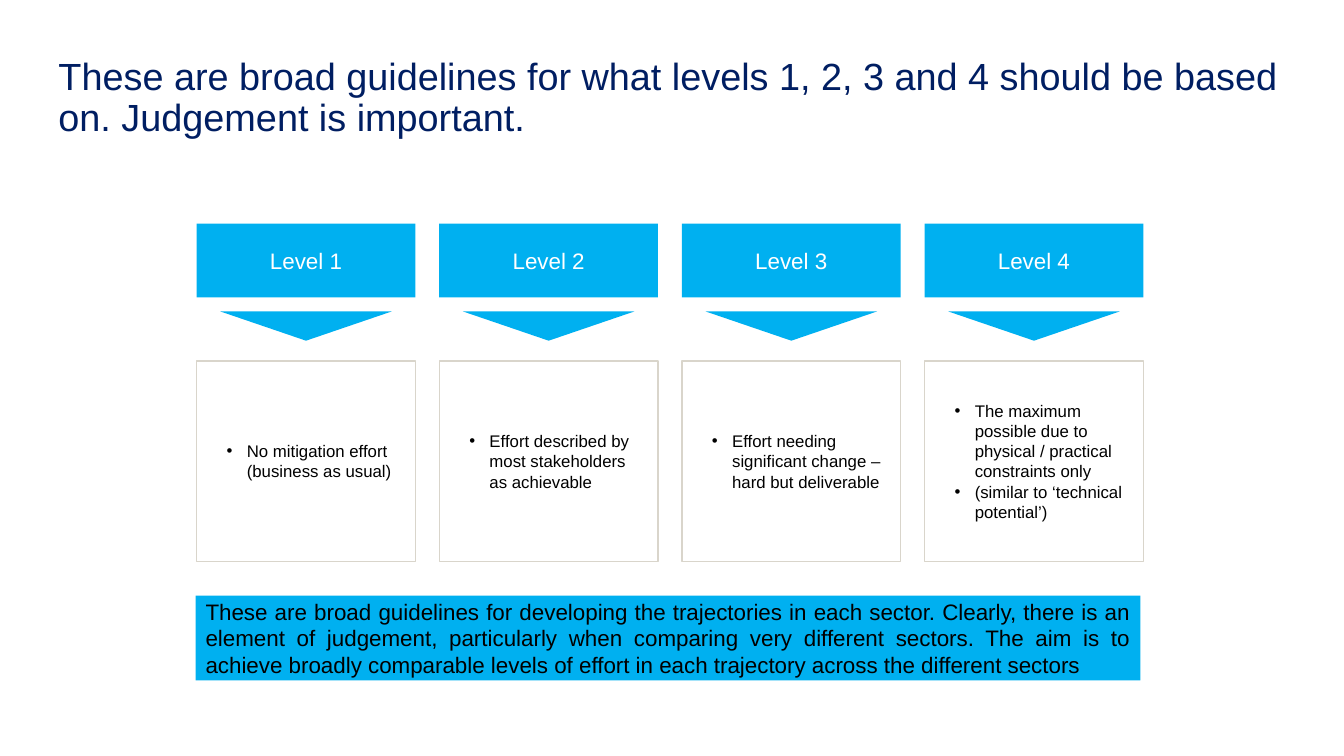
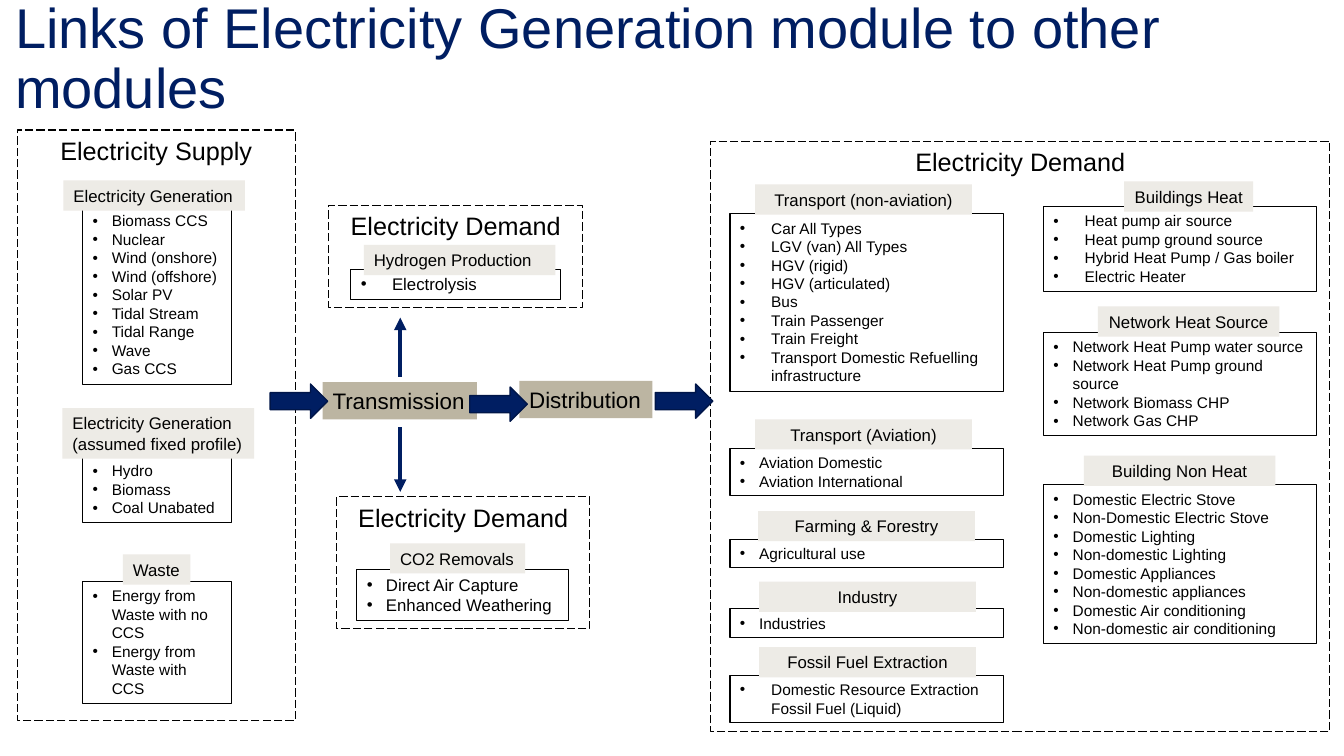
import lxml.etree
import pptx
import pptx.dml.color
import pptx.enum.dml
import pptx.enum.shapes
import pptx.enum.text
import pptx.oxml.ns
import pptx.util

Inches = pptx.util.Inches
Pt = pptx.util.Pt
ALIGN = pptx.enum.text.PP_ALIGN
ANCHOR = pptx.enum.text.MSO_ANCHOR
SHAPE = pptx.enum.shapes.MSO_SHAPE
DASH = pptx.enum.dml.MSO_LINE.LONG_DASH

THEME = {
    "font": "Arial",
    "navy": "001E62", "navy edge": "001649", "sky": "00B0F0",
    "stone": "BCB5A2", "pale stone": "EDEBE6", "border": "D9D5CB",
    "black": "000000", "white": "FFFFFF",
    "panel size": 18, "banner size": 16, "label size": 12, "item size": 11,
}
SLIDE_SIZE = (13.33, 7.5)
PADDING = 0.05
LINE_PITCH = 1.21
LABEL_HEIGHT = 0.3
NARROW, WIDE = 0.19, 0.31

LEVELS_TITLE = ("These are broad guidelines for what levels 1, 2, 3 and 4 should be based on. "
                "Judgement is important.")
LEVELS = [
    ("Level 1", ["No mitigation effort (business as usual)"]),
    ("Level 2", ["Effort described by most stakeholders as achievable"]),
    ("Level 3", ["Effort needing significant change – hard but deliverable"]),
    ("Level 4", ["The maximum possible due to physical / practical constraints only",
                 "(similar to ‘technical potential’)"]),
]
LEVELS_NOTE = ("These are broad guidelines for developing the trajectories in each sector. Clearly, "
               "there is an element of judgement, particularly when comparing very different sectors. "
               "The aim is to achieve broadly comparable levels of effort in each trajectory across "
               "the different sectors")
LEVEL_GRID = {"left": 1.95, "right": 11.34, "width": 2.17}

LINKS_TITLE = "Links of Electricity Generation module to other modules"
PANELS = [
    ("Electricity Demand", (3.26, 2.04, 2.52, 1.01)),
    ("Electricity Demand", (3.34, 4.93, 2.51, 1.31)),
    ("Electricity Supply", (0.17, 1.29, 2.76, 5.86)),
    ("Electricity Demand", (7.05, 1.4, 6.14, 5.86)),
]
STAGES = [("Transmission", (3.2, 3.79, 1.53, 0.37)), ("Distribution", (5.15, 3.78, 1.32, 0.37))]
FLOW_ARROWS = [(2.68, 3.81), (4.66, 3.84), (6.5, 3.81)]
BRANCH_X = 3.97
BRANCHES = [(3.74, 3.15), (4.24, 4.88)]

CARD_FIELDS = ("label", "label_left", "label_top", "label_width", "top", "indent", "lines", "items")
COLUMNS = [
    {"left": 0.82, "width": 1.48, "size": "item size", "align": ALIGN.LEFT, "cards": [
        (["Electricity Generation"], 0.63, 1.79, 1.8, 2.05, NARROW, 9,
         ["Biomass CCS", "Nuclear", "Wind (onshore)", "Wind (offshore)", "Solar PV",
          "Tidal Stream", "Tidal Range", "Wave", "Gas CCS"]),
        (["Electricity Generation", "(assumed fixed profile)"], 0.62, 4.05, 1.9, 4.53, NARROW, 3,
         ["Hydro", "Biomass", "Coal Unabated"]),
        (["Waste"], 1.22, 5.5, 0.67, 5.77, NARROW, 6,
         ["Energy from Waste with no CCS", "Energy from Waste with CCS"]),
    ]},
    {"left": 3.48, "width": 2.08, "size": "label size", "align": ALIGN.LEFT, "cards": [
        (["Hydrogen Production"], 3.61, 2.43, 1.9, 2.67, WIDE, 1, ["Electrolysis"]),
    ]},
    {"left": 3.54, "width": 2.1, "size": "label size", "align": ALIGN.LEFT, "cards": [
        (["CO2 Removals"], 3.87, 5.39, 1.34, 5.65, NARROW, 2,
         ["Direct Air Capture", "Enhanced Weathering"]),
    ]},
    {"left": 7.24, "width": 2.71, "size": "item size", "align": ALIGN.CENTER, "cards": [
        (["Transport (non-aviation)"], 7.49, 1.83, 2.15, 2.12, WIDE, 9,
         ["Car All Types", "LGV (van) All Types", "HGV (rigid)", "HGV (articulated)", "Bus",
          "Train Passenger", "Train Freight", "Transport Domestic Refuelling infrastructure"]),
        (["Transport (Aviation)"], 7.49, 4.16, 2.15, 4.45, NARROW, 2,
         ["Aviation Domestic", "Aviation International"]),
        (["Farming & Forestry"], 7.52, 5.07, 2.15, 5.35, NARROW, 1, ["Agricultural use"]),
        (["Industry"], 7.53, 5.77, 2.15, 6.04, NARROW, 1, ["Industries"]),
        (["Fossil Fuel Extraction"], 7.53, 6.42, 2.15, 6.7, WIDE, 2,
         ["Domestic Resource Extraction Fossil Fuel (Liquid)"]),
    ]},
    {"left": 10.35, "width": 2.71, "size": "item size", "align": ALIGN.CENTER, "cards": [
        (["Buildings Heat"], 11.15, 1.8, 1.28, 2.05, WIDE, 4,
         ["Heat pump air source", "Heat pump ground source", "Hybrid Heat Pump / Gas boiler",
          "Electric Heater"]),
        (["Network Heat Source"], 10.89, 3.04, 1.8, 3.3, NARROW, 5,
         ["Network Heat Pump water source", "Network Heat Pump ground source",
          "Network Biomass CHP", "Network Gas CHP"]),
        (["Building Non Heat"], 10.75, 4.52, 1.9, 4.81, NARROW, 8,
         ["Domestic Electric Stove", "Non-Domestic Electric Stove", "Domestic Lighting",
          "Non-domestic Lighting", "Domestic Appliances", "Non-domestic appliances",
          "Domestic Air conditioning", "Non-domestic air conditioning"]),
    ]},
]


def colour(name):
    return pptx.dml.color.RGBColor.from_string(THEME[name])


def apply_format(target, values):
    for name, value in values.items():
        setattr(target, name, value)


def add_bullet(paragraph, margin, hanging):
    properties = paragraph._p.get_or_add_pPr()
    properties.set("marL", str(Inches(margin)))
    properties.set("indent", str(-Inches(hanging)))
    for tag, name, value in (("a:buFont", "typeface", THEME["font"]), ("a:buChar", "char", "•")):
        lxml.etree.SubElement(properties, pptx.oxml.ns.qn(tag)).set(name, value)


def write_text(shape, lines, size, ink="black", align=ALIGN.LEFT, anchor=ANCHOR.TOP,
               side=(0.1, 0.1), edge=PADDING, bullet=None, spacing=None):
    frame = shape.text_frame
    apply_format(frame, {
        "word_wrap": True, "vertical_anchor": anchor,
        "margin_left": Inches(side[0]), "margin_right": Inches(side[1]),
        "margin_top": Inches(edge), "margin_bottom": Inches(edge),
    })
    for index, line in enumerate(lines):
        paragraph = frame.paragraphs[0] if index == 0 else frame.add_paragraph()
        if bullet:
            add_bullet(paragraph, *bullet)
        apply_format(paragraph, {"alignment": align, "line_spacing": spacing})
        run = paragraph.add_run()
        run.text = line
        apply_format(run.font, {"name": THEME["font"], "size": Pt(size)})
        run.font.color.rgb = colour(ink)


def add_box(slide, place, fill=None, line=None, weight=0.75, dash=None, kind=SHAPE.RECTANGLE):
    shape = slide.shapes.add_shape(kind, *map(Inches, place))
    shape.shadow.inherit = False
    if fill:
        shape.fill.solid()
        shape.fill.fore_color.rgb = colour(fill)
    else:
        shape.fill.background()
    if line:
        shape.line.color.rgb = colour(line)
        apply_format(shape.line, {"width": Pt(weight), "dash_style": dash})
    else:
        shape.line.fill.background()
    return shape


def add_title(slide, text, place, size):
    title = slide.shapes.add_textbox(*map(Inches, place))
    write_text(title, [text], size, "navy", side=(0, 0), edge=0, spacing=0.9)


def add_arrow(slide, x, start, end):
    arrow = slide.shapes.add_connector(pptx.enum.shapes.MSO_CONNECTOR.STRAIGHT,
                                       *map(Inches, (x, start, x, end)))
    arrow.line.color.rgb = colour("navy")
    arrow.line.width = Pt(3)
    qn = pptx.oxml.ns.qn
    lxml.etree.SubElement(arrow.line._get_or_add_ln(), qn("a:tailEnd")).set("type", "triangle")
    lxml.etree.SubElement(arrow._element.spPr, qn("a:effectLst"))


def add_card(slide, column, card):
    size = THEME[column["size"]]
    height = card["lines"] * size * LINE_PITCH / 72 + 2 * PADDING
    box = add_box(slide, (column["left"], card["top"], column["width"], height), line="black")
    write_text(box, card["items"], size, bullet=(card["indent"], card["indent"]))
    label_height = LABEL_HEIGHT + 0.2 * (len(card["label"]) - 1)
    label = add_box(slide, (card["label_left"], card["label_top"], card["label_width"],
                            label_height), "pale stone")
    side = (0.1, 0) if column["align"] == ALIGN.LEFT else (PADDING, PADDING)
    write_text(label, card["label"], THEME["label size"], align=column["align"], side=side)


def build_levels(slide):
    add_title(slide, LEVELS_TITLE, (0.58, 0.57, 12.19, 0.84), 27)
    left, width = LEVEL_GRID["left"], LEVEL_GRID["width"]
    pitch = (LEVEL_GRID["right"] - left - width) / (len(LEVELS) - 1)
    pointer_width = 1.7
    for index, (name, points) in enumerate(LEVELS):
        x = left + index * pitch
        header = add_box(slide, (x, 2.22, width, 0.73), "sky")
        write_text(header, [name], THEME["banner size"], "white", ALIGN.CENTER, ANCHOR.MIDDLE)
        pointer = add_box(slide, (x + (width - pointer_width) / 2, 3.09, pointer_width, 0.29),
                          "sky", kind=SHAPE.ISOSCELES_TRIANGLE)
        pointer.rotation = 180
        body = add_box(slide, (x, 3.58, width, 1.99), "white", "border", 1)
        write_text(body, points, THEME["label size"], anchor=ANCHOR.MIDDLE, bullet=(0.4, 0.2))
    note = add_box(slide, (1.94, 5.91, 9.37, 0.84), "sky")
    write_text(note, [LEVELS_NOTE], THEME["banner size"], align=ALIGN.JUSTIFY,
               anchor=ANCHOR.MIDDLE)


def build_links(slide):
    for name, place in PANELS:
        panel = add_box(slide, place, line="black", dash=DASH)
        write_text(panel, [name], THEME["panel size"], align=ALIGN.CENTER)
    add_title(slide, LINKS_TITLE, (0.15, 0, 13.03, 1.45), 40)
    for name, place in STAGES:
        stage = add_box(slide, place, "stone")
        write_text(stage, [name], THEME["banner size"], side=(0.1, 0))
    for column in COLUMNS:
        for values in column["cards"]:
            add_card(slide, column, dict(zip(CARD_FIELDS, values)))
    for x, y in FLOW_ARROWS:
        add_box(slide, (x, y, 0.57, 0.34), "navy", "navy edge", 1, kind=SHAPE.RIGHT_ARROW)
    for start, end in BRANCHES:
        add_arrow(slide, BRANCH_X, start, end)


def main():
    presentation = pptx.Presentation()
    width, height = map(Inches, SLIDE_SIZE)
    apply_format(presentation, {"slide_width": width, "slide_height": height})
    for build in (build_levels, build_links):
        build(presentation.slides.add_slide(presentation.slide_layouts[6]))
    presentation.save("out.pptx")


if __name__ == "__main__":
    main()
